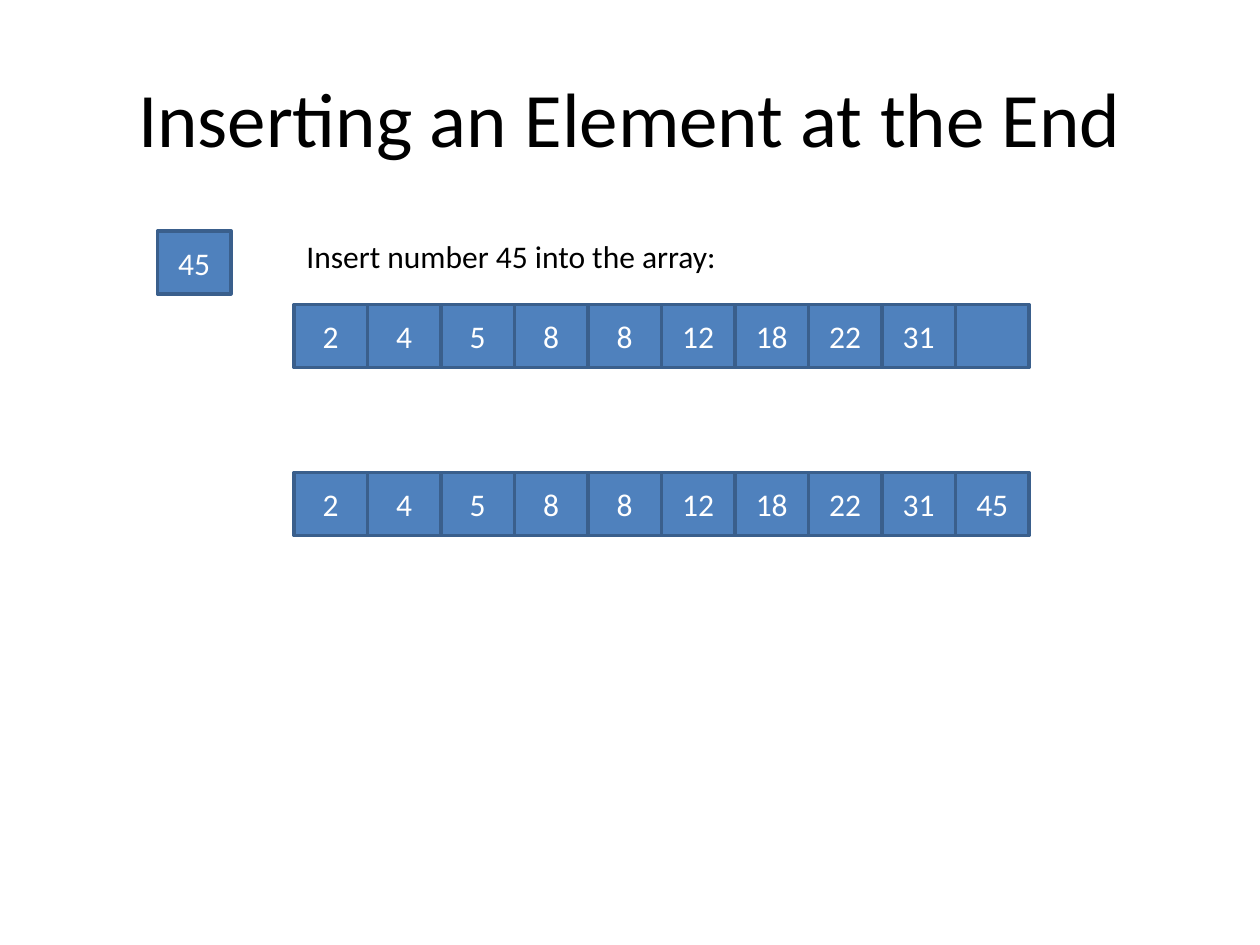
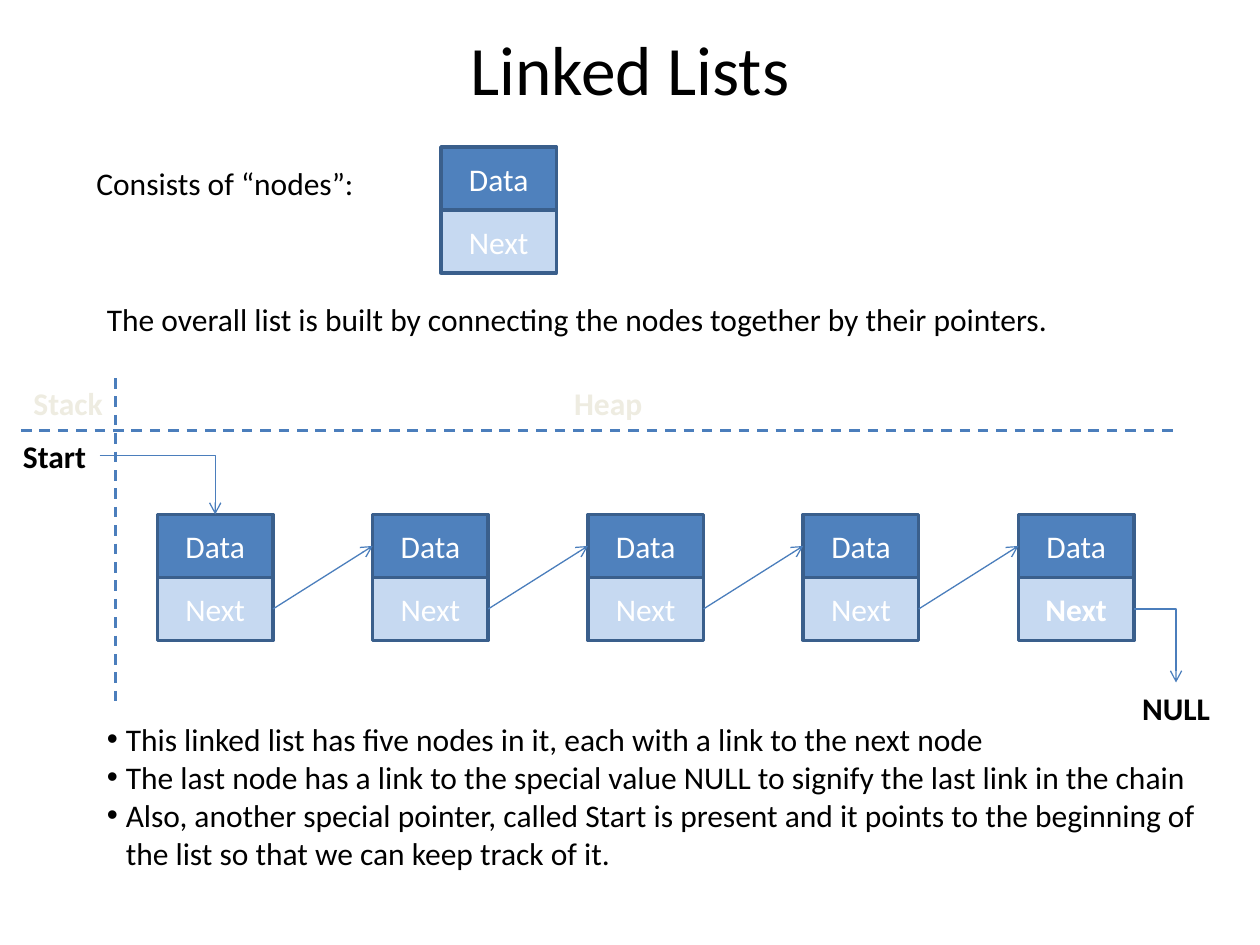
import dataclasses
import typing

import lxml.etree
import pptx
import pptx.dml.color
import pptx.enum.dml
import pptx.enum.shapes
import pptx.enum.text
import pptx.oxml.ns
import pptx.util

# Shared style
FONT = "Calibri"
BODY_SIZE = 18
BLACK = "000000"
WHITE = "FFFFFF"
BLUE = "4F81BD"
PALE_BLUE = "C6D9F1"
OUTLINE = "3A5F8C"
CONNECTOR = "4B7EBC"
CREAM = "EEECE1"

# Grid of 120 columns by 90 rows, twelve to the inch
GRID = pptx.util.Inches(1) // 12
COLUMNS, ROWS = 120, 90
BOX_HEIGHT = 6
ARRAY_CELL_WIDTH = 7
ARRAY_LEFT = 28
NODE_WIDTH = 11
NODE_PITCH = 20.5
NODE_LEFT, NODE_TOP = 15, 49
NODE_COUNT = 5
LABEL_HEIGHT = 4.8


class Point(typing.NamedTuple):
    column: float
    row: float


@dataclasses.dataclass
class Box:
    text: str
    column: float
    row: float
    width: float
    height: float = BOX_HEIGHT
    fill: str = BLUE
    bold: bool = False


@dataclasses.dataclass
class Label:
    text: str
    column: float
    row: float
    width: float
    bold: bool = False
    color: str = BLACK


def grid(units: float) -> int:
    return round(units * GRID)


def rgb(color: str) -> pptx.dml.color.RGBColor:
    return pptx.dml.color.RGBColor.from_string(color)


def format_text(text_frame, color: str, size: float = BODY_SIZE, bold: bool = False,
                centered: bool = False) -> None:
    for paragraph in text_frame.paragraphs:
        if centered:
            paragraph.alignment = pptx.enum.text.PP_ALIGN.CENTER
        for run in paragraph.runs:
            run.font.name = FONT
            run.font.size = pptx.util.Pt(size)
            run.font.bold = bold
            run.font.color.rgb = rgb(color)


def add_title(slide, text: str, row: float, height: float, size: float) -> None:
    title = slide.shapes.add_textbox(grid(6), grid(row), grid(COLUMNS - 12), grid(height))
    text_frame = title.text_frame
    text_frame.word_wrap = True
    text_frame.vertical_anchor = pptx.enum.text.MSO_ANCHOR.MIDDLE
    text_frame.text = text
    format_text(text_frame, BLACK, size, centered=True)


def add_label(slide, label: Label) -> None:
    shape = slide.shapes.add_textbox(
        grid(label.column), grid(label.row), grid(label.width), grid(LABEL_HEIGHT))
    shape.text_frame.word_wrap = False
    shape.text_frame.text = label.text
    format_text(shape.text_frame, label.color, bold=label.bold)


def add_box(shapes, box: Box) -> None:
    shape = shapes.add_shape(
        pptx.enum.shapes.MSO_SHAPE.RECTANGLE,
        grid(box.column), grid(box.row), grid(box.width), grid(box.height))
    shape.shadow.inherit = False
    shape.fill.solid()
    shape.fill.fore_color.rgb = rgb(box.fill)
    shape.line.color.rgb = rgb(OUTLINE)
    shape.line.width = pptx.util.Pt(2)
    shape.text_frame.vertical_anchor = pptx.enum.text.MSO_ANCHOR.MIDDLE
    shape.text_frame.text = box.text
    format_text(shape.text_frame, WHITE, bold=box.bold, centered=True)


def add_array(slide, values: list[str], row: float) -> None:
    group = slide.shapes.add_group_shape()
    for index, value in enumerate(values):
        column = ARRAY_LEFT + index * ARRAY_CELL_WIDTH
        add_box(group.shapes, Box(value, column, row, ARRAY_CELL_WIDTH))


def add_node(slide, column: float, row: float, last: bool = False) -> None:
    group = slide.shapes.add_group_shape()
    add_box(group.shapes, Box("Data", column, row, NODE_WIDTH))
    add_box(group.shapes, Box("Next", column, row + BOX_HEIGHT, NODE_WIDTH,
                              fill=PALE_BLUE, bold=last))


def add_line(slide, start: Point, end: Point, width: float):
    connector = slide.shapes.add_connector(
        pptx.enum.shapes.MSO_CONNECTOR.STRAIGHT,
        grid(start.column), grid(start.row), grid(end.column), grid(end.row))
    connector.line.color.rgb = rgb(CONNECTOR)
    connector.line.width = pptx.util.Pt(width)
    lxml.etree.SubElement(connector._element.spPr, pptx.oxml.ns.qn("a:effectLst"))
    return connector


def add_divider(slide, start: Point, end: Point) -> None:
    divider = add_line(slide, start, end, 1.5)
    divider.line.dash_style = pptx.enum.dml.MSO_LINE.DASH


def add_arrow(slide, start: Point, end: Point, bent: bool = False) -> None:
    arrow = add_line(slide, start, end, 0.75)
    properties = arrow._element.spPr
    lxml.etree.SubElement(properties.find(pptx.oxml.ns.qn("a:ln")),
                          pptx.oxml.ns.qn("a:tailEnd"), type="arrow")
    if bent:
        properties.find(pptx.oxml.ns.qn("a:prstGeom")).set("prst", "bentConnector2")


def add_bullets(slide, lines: list[str], column: float, row: float,
                width: float, height: float) -> None:
    shape = slide.shapes.add_textbox(grid(column), grid(row), grid(width), grid(height))
    text_frame = shape.text_frame
    text_frame.word_wrap = True
    text_frame.text = "\n".join(lines)
    format_text(text_frame, BLACK)
    hanging = pptx.util.Inches(0.15)
    for paragraph in text_frame.paragraphs:
        properties = paragraph._p.get_or_add_pPr()
        properties.set("marL", str(hanging))
        properties.set("indent", str(-hanging))
        lxml.etree.SubElement(properties, pptx.oxml.ns.qn("a:buFont"), typeface="Arial")
        lxml.etree.SubElement(properties, pptx.oxml.ns.qn("a:buChar"), char="•")


def build_array_slide(slide) -> None:
    add_title(slide, "Inserting an Element at the End", 3.6, 15, 44)
    values = ["2", "4", "5", "8", "8", "12", "18", "22", "31"]
    inserted = "45"
    add_array(slide, values + [""], 29)
    add_label(slide, Label("Insert number 45 into the array:", ARRAY_LEFT, 22, 42.1))
    add_array(slide, values + [inserted], 45)
    add_box(slide.shapes, Box(inserted, 15, 22, ARRAY_CELL_WIDTH))


def build_list_slide(slide) -> None:
    add_title(slide, "Linked Lists", 2, 9, 39.6)

    # A single node
    add_node(slide, 42, 14)

    # The chain of nodes and its pointers
    node_columns = [NODE_LEFT + index * NODE_PITCH for index in range(NODE_COUNT)]
    data_middle = NODE_TOP + BOX_HEIGHT / 2
    next_middle = data_middle + BOX_HEIGHT
    for column in node_columns:
        add_node(slide, column, NODE_TOP, last=column == node_columns[-1])
    for column, following in zip(node_columns, node_columns[1:]):
        add_arrow(slide, Point(column + NODE_WIDTH, next_middle), Point(following, data_middle))
    add_arrow(slide, Point(node_columns[-1] + NODE_WIDTH, next_middle), Point(112, 65), bent=True)
    add_arrow(slide, Point(9.5, 43.4), Point(NODE_LEFT + NODE_WIDTH / 2, NODE_TOP), bent=True)

    # Stack and heap areas
    add_divider(slide, Point(11, 36), Point(11, 67))
    add_divider(slide, Point(2, 41), Point(112, 41))

    labels = [
        Label("Consists of “nodes”:", 8, 15, 27.2),
        Label("The overall list is built by connecting the nodes together by their pointers.",
              9, 28, 92.4),
        Label("Stack", 2, 36, 9, bold=True, color=CREAM),
        Label("Heap", 53.5, 36, 9, bold=True, color=CREAM),
        Label("Start", 1, 41, 8.5, bold=True),
        Label("NULL", 107.6, 65, 8.9, bold=True),
    ]
    for label in labels:
        add_label(slide, label)

    add_bullets(slide, [
        "This linked list has five nodes in it, each with a link to the next node",
        "The last node has a link to the special value NULL to signify the last link in the chain",
        "Also, another special pointer, called Start is present and it points to the beginning of "
        "the list so that we can keep track of it.",
    ], 9, 68, 108, 19.4)


def main() -> None:
    presentation = pptx.Presentation()
    presentation.slide_width = grid(COLUMNS)
    presentation.slide_height = grid(ROWS)
    blank_layout = presentation.slide_layouts[6]
    for build in (build_array_slide, build_list_slide):
        build(presentation.slides.add_slide(blank_layout))
    presentation.save("out.pptx")


if __name__ == "__main__":
    main()
